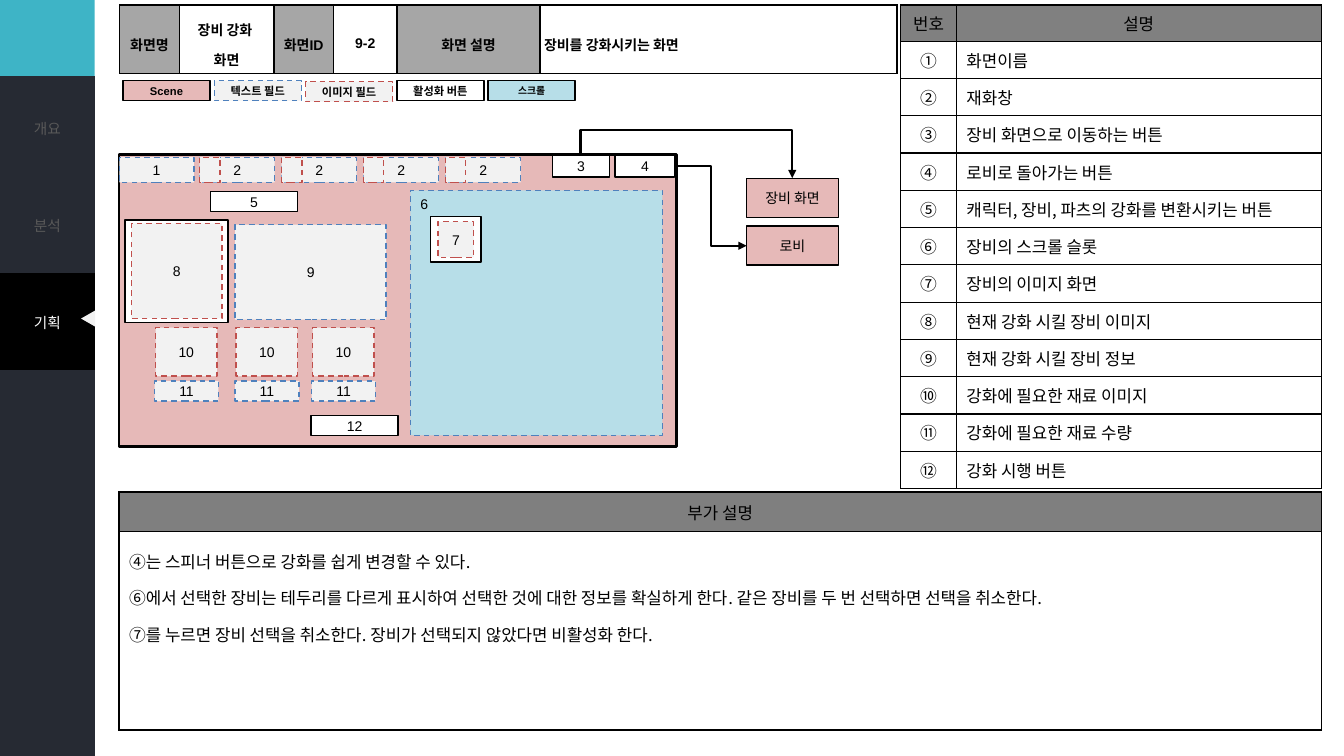
from lxml import etree
from pptx import Presentation
from pptx.dml.color import RGBColor
from pptx.enum.dml import MSO_LINE
from pptx.enum.shapes import MSO_CONNECTOR, MSO_SHAPE
from pptx.enum.text import MSO_ANCHOR, PP_ALIGN
from pptx.oxml.ns import qn
from pptx.util import Pt

RECT, TRIANGLE = MSO_SHAPE.RECTANGLE, MSO_SHAPE.ISOSCELES_TRIANGLE
ELBOW, DASH = MSO_CONNECTOR.ELBOW, MSO_LINE.DASH
MIDDLE, TOP = MSO_ANCHOR.MIDDLE, MSO_ANCHOR.TOP
CENTER, LEFT = PP_ALIGN.CENTER, PP_ALIGN.LEFT

BLACK = RGBColor(0x00, 0x00, 0x00)
WHITE = RGBColor(0xFF, 0xFF, 0xFF)
NAVY = RGBColor(0x26, 0x2A, 0x33)
TEAL = RGBColor(0x3E, 0xB4, 0xC6)
MENU_GRAY = RGBColor(0x59, 0x59, 0x59)
LABEL_GRAY = RGBColor(0xA6, 0xA6, 0xA6)
HEAD_GRAY = RGBColor(0x80, 0x80, 0x80)
NOTE_GRAY = RGBColor(0x7F, 0x7F, 0x7F)
PALE = RGBColor(0xF2, 0xF2, 0xF2)
PINK = RGBColor(0xE6, 0xB9, 0xB8)
SKY = RGBColor(0xB7, 0xDE, 0xE8)
BLUE = RGBColor(0x4F, 0x81, 0xBD)
RED = RGBColor(0xC0, 0x50, 0x4D)

LATIN, KOREAN = "Arial", "Noto Sans CJK KR"
NO_GRID_STYLE = "{2D5ABB26-0587-4C30-8999-92F81FD0307C}"

# Box styles: fill, line colour, line width, dash
SCENE = (PINK, BLACK, 1, None)
FRAME = (PINK, BLACK, 2, None)
TEXT_FIELD = (PALE, BLUE, 1, DASH)
IMAGE_FIELD = (PALE, RED, 1, DASH)
BUTTON = (WHITE, BLACK, 1, None)
SCROLL = (SKY, BLACK, 1, None)
SCROLL_AREA = (SKY, BLUE, 1, DASH)

# Text formats
NUMBER = {"size": Pt(10), "name": LATIN}
TARGET = {"size": Pt(10), "name": KOREAN}
LEGEND = {"size": Pt(8), "name": LATIN, "bold": True}
LEGEND_SMALL = {"size": Pt(7), "name": KOREAN, "bold": True}
HEADER = {"size": Pt(10), "name": LATIN, "bold": True}
BODY = {"size": Pt(12), "name": KOREAN}
MENU = {"size": Pt(10.5), "name": KOREAN}


def write(frame, text, formats, color=BLACK, align=CENTER, spacing=None):
    frame.text = text
    for paragraph in frame.paragraphs:
        paragraph.alignment = align
        paragraph.line_spacing = spacing
        for run in paragraph.runs:
            for key, value in formats.items():
                setattr(run.font, key, value)
            run.font.color.rgb = color
            east_asian = etree.SubElement(run.font._element, qn("a:ea"))
            east_asian.set("typeface", KOREAN)


def box(parent, place, style, text="", formats=NUMBER, kind=RECT):
    fill, line, width, dash = style
    shape = parent.shapes.add_shape(kind, *map(Pt, place))
    shape.shadow.inherit = False
    shape.fill.solid()
    shape.fill.fore_color.rgb = fill
    if line is None:
        shape.line.fill.background()
    else:
        shape.line.color.rgb = line
        shape.line.width = Pt(width)
        shape.line.dash_style = dash
    frame = shape.text_frame
    frame.margin_left = frame.margin_right = frame.margin_top = frame.margin_bottom = 0
    frame.vertical_anchor = MIDDLE
    if text:
        write(frame, text, formats)
    return shape


deck = Presentation()
deck.slide_width, deck.slide_height = Pt(960), Pt(540)
slide = deck.slides.add_slide(deck.slide_layouts[6])

# Sidebar head
box(slide, (0, 0, 67.7, 54.4), (TEAL, None, 0, None))

# Cell contents: text, fill, formats, text colour, align, line spacing
rail_rows = [[("", NAVY, MENU, WHITE, CENTER, None)]] * 7
menu_rows = [[("개요", NAVY, MENU, MENU_GRAY, CENTER, None)],
             [("분석", NAVY, MENU, MENU_GRAY, CENTER, None)],
             [("기획", BLACK, MENU, WHITE, CENTER, None)]] + rail_rows[3:]

screen_info = [("화면명", LABEL_GRAY, CENTER), ("장비 강화 \n화면", WHITE, CENTER),
               ("화면ID", LABEL_GRAY, CENTER), ("9-2", WHITE, CENTER),
               ("화면 설명", LABEL_GRAY, CENTER), ("장비를 강화시키는 화면", WHITE, LEFT)]
info_rows = [[(text, fill, HEADER, BLACK, align, 1.5) for text, fill, align in screen_info]]

descriptions = ["화면이름", "재화창", "장비 화면으로 이동하는 버튼", "로비로 돌아가는 버튼",
                "캐릭터, 장비, 파츠의 강화를 변환시키는 버튼", "장비의 스크롤 슬롯",
                "장비의 이미지 화면", "현재 강화 시킬 장비 이미지", "현재 강화 시킬 장비 정보",
                "강화에 필요한 재료 이미지", "강화에 필요한 재료 수량", "강화 시행 버튼"]
description_rows = [[(text, HEAD_GRAY, BODY, BLACK, CENTER, None) for text in ("번호", "설명")]]
for mark, description in zip("①②③④⑤⑥⑦⑧⑨⑩⑪⑫", descriptions):
    description_rows.append([(mark, WHITE, BODY, BLACK, CENTER, None),
                             (description, WHITE, BODY, BLACK, LEFT, None)])

notes = "\n".join([
    "④는 스피너 버튼으로 강화를 쉽게 변경할 수 있다.",
    "⑥에서 선택한 장비는 테두리를 다르게 표시하여 선택한 것에 대한 정보를 확실하게 한다. "
    "같은 장비를 두 번 선택하면 선택을 취소한다.",
    "⑦를 누르면 장비 선택을 취소한다. 장비가 선택되지 않았다면 비활성화 한다."])
note_rows = [[("부가 설명", NOTE_GRAY, BODY, BLACK, CENTER, None)],
             [(notes, WHITE, BODY, BLACK, LEFT, 1.5)]]

# Tables: left, top, column widths, row heights, rows, bordered, cell inset
tables = [
    (0, 54.4, [67.7], [69.3] * 7, rail_rows, False, None),
    (0, 56.6, [67.7], [69.3] * 6 + [67.6], menu_rows, False, None),
    (85.5, 3.6, [42.5, 67.7, 42.5, 45.4, 102.2, 255], [45.4], info_rows, True, 2.9),
    (643.5, 3.6, [39.6, 260.6], [25.9] + [26.64] * 12, description_rows, True, None),
    (85, 351.4, [859], [28.3, 141.8], note_rows, True, None),
]
for left, top, widths, heights, rows, bordered, inset in tables:
    table = slide.shapes.add_table(len(heights), len(widths), Pt(left), Pt(top),
                                   Pt(sum(widths)), Pt(sum(heights))).table
    table.first_row = table.horz_banding = False
    table._tbl.tblPr.find(qn("a:tableStyleId")).text = NO_GRID_STYLE
    for column, width in zip(table.columns, widths):
        column.width = Pt(width)
    for row, height, contents in zip(table.rows, heights, rows):
        row.height = Pt(height)
        for cell, (text, fill, formats, color, align, spacing) in zip(row.cells, contents):
            write(cell.text_frame, text, formats, color, align, spacing)
            cell.vertical_anchor = TOP if text == notes else MIDDLE
            if inset:
                for side in ("left", "right", "top", "bottom"):
                    setattr(cell, f"margin_{side}", Pt(inset))
            if bordered:
                for side in ("a:lnL", "a:lnR", "a:lnT", "a:lnB"):
                    border = etree.SubElement(cell._tc.get_or_add_tcPr(), qn(side), w=str(Pt(1)))
                    paint = etree.SubElement(border, qn("a:solidFill"))
                    etree.SubElement(paint, qn("a:srgbClr"), val=str(BLACK))
            cell.fill.solid()
            cell.fill.fore_color.rgb = fill

# Marker of the current menu entry
marker = box(slide, (57.2, 222.5, 11.5, 10.1), (PALE, None, 0, None), kind=TRIANGLE)
marker.rotation = 270

# Legend
legend = [("Scene", SCENE, LEGEND, 57.6), ("텍스트 필드", TEXT_FIELD, LEGEND, 57.6),
          ("이미지 필드", IMAGE_FIELD, LEGEND, 58.3), ("활성화 버튼", BUTTON, LEGEND, 57.6),
          ("스크롤", SCROLL, LEGEND_SMALL, 57.6)]
for i, (label, style, formats, top) in enumerate(legend):
    box(slide, (87.9 + 65.2 * i, top, 62.2, 14.4), style, label, formats)

# Wireframe of the screen
screen = slide.shapes.add_group_shape()
parts = [
    ((85, 110.6, 398.2, 208.1), FRAME, ""),
    ((150.5, 137, 61.9, 14.2), BUTTON, "5"),
    ((222.2, 296.8, 62.2, 14.2), BUTTON, "12"),
    ((167.9, 160.4, 108, 68), TEXT_FIELD, "9"),
    ((293.2, 136.1, 180, 175), SCROLL_AREA, ""),
    ((307.6, 154.8, 36, 32.4), BUTTON, ""),
    ((313, 158.4, 25.4, 25.4), IMAGE_FIELD, "7"),
    ((89.3, 157, 73.7, 73.4), BUTTON, ""),
    ((93.8, 159.6, 64.8, 67.9), IMAGE_FIELD, "8"),
    ((85.2, 112.3, 53.3, 18), TEXT_FIELD, "1"),
    ((439.4, 110.6, 42.5, 15.8), BUTTON, "4"),
    ((394.7, 110.6, 40.5, 15.8), BUTTON, "3"),
]
for material_x in (111.1, 168.6, 223.3):
    parts.append(((material_x, 234, 43.9, 34.6), IMAGE_FIELD, "10"))
    parts.append(((material_x - 0.7, 272.2, 45.6, 14.4), TEXT_FIELD, "11"))
for i in range(4):
    currency_x = 142.7 + 58.55 * i
    parts.append(((currency_x, 112.3, 53.5, 18), TEXT_FIELD, "2"))
    parts.append(((currency_x, 112.3, 14.4, 18), IMAGE_FIELD, ""))
for place, style, number in parts:
    box(screen, place, style, number)
scroll_number = screen.shapes.add_textbox(Pt(293.2), Pt(136.1), Pt(20.2), Pt(19.4))
write(scroll_number.text_frame, "6", NUMBER, align=LEFT)

# Screens reached by buttons 3 and 4
for target, target_y in (("장비 화면", 127.4), ("로비", 161.3)):
    box(slide, (533.3, target_y, 65.5, 28.1), SCENE, target, TARGET)

to_equipment = slide.shapes.add_connector(ELBOW, Pt(482), Pt(43.4), Pt(498.6), Pt(194.6))
turn = to_equipment._element.spPr.find(qn("a:xfrm"))
turn.set("rot", "16200000")
turn.set("flipH", "1")
bend = to_equipment._element.spPr.find(qn("a:prstGeom")).get_or_add_avLst()
etree.SubElement(bend, qn("a:gd"), name="adj1", fmla="val -109100")
to_lobby = slide.shapes.add_connector(ELBOW, Pt(482.4), Pt(118.8), Pt(533.3), Pt(175.6))
for arrow in (to_equipment, to_lobby):
    arrow.line.color.rgb = BLACK
    arrow.line.width = Pt(1.5)
    etree.SubElement(arrow.line._get_or_add_ln(), qn("a:tailEnd"), type="triangle")
    etree.SubElement(arrow._element.spPr, qn("a:effectLst"))

deck.save("out.pptx")
